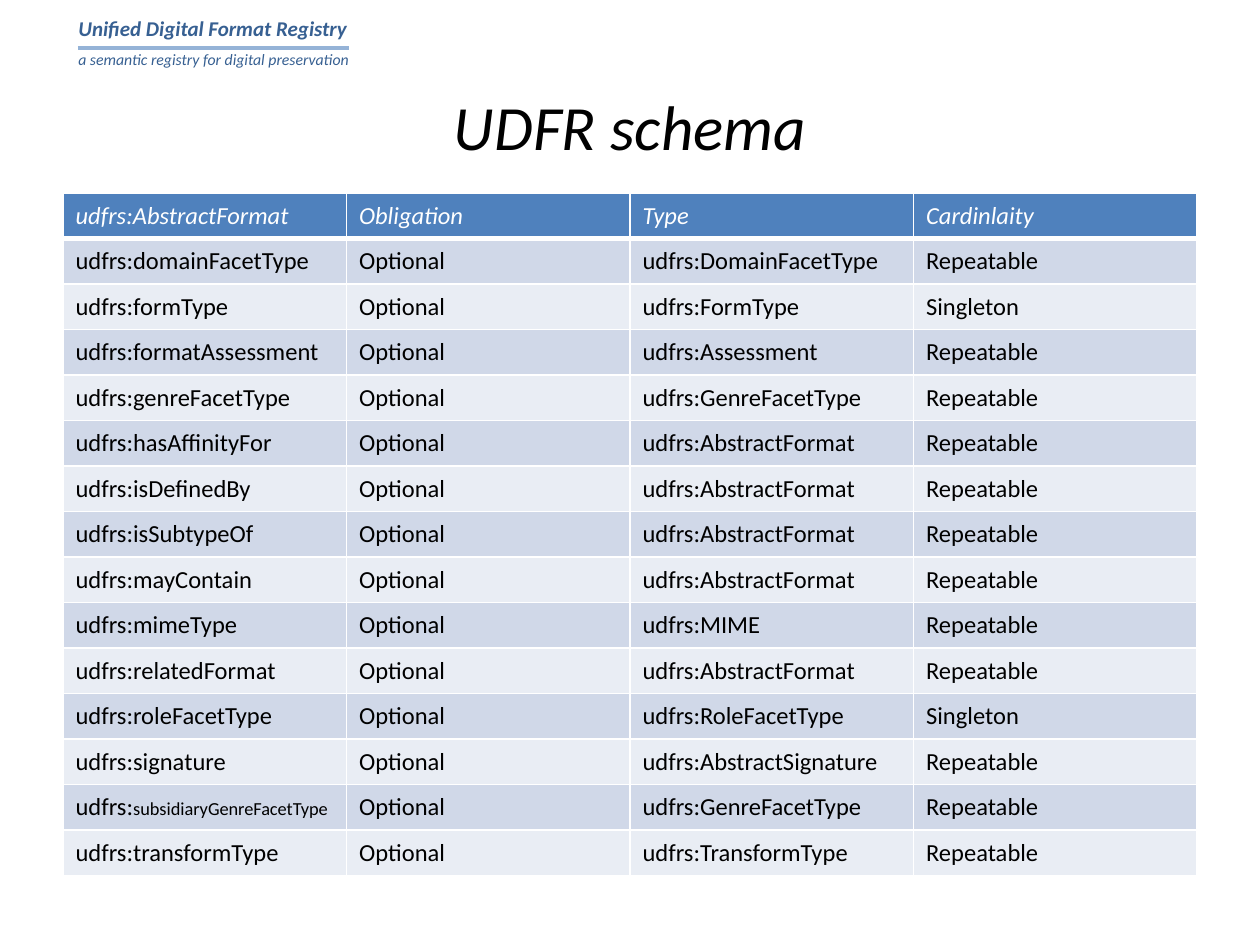
from dataclasses import dataclass

from lxml.etree import SubElement
from pptx import Presentation
from pptx.dml.color import RGBColor
from pptx.enum.shapes import MSO_CONNECTOR
from pptx.enum.text import MSO_ANCHOR, PP_ALIGN
from pptx.oxml import parse_xml
from pptx.oxml.ns import nsdecls, qn
from pptx.slide import Slide
from pptx.table import Table, _Cell
from pptx.text.text import _Paragraph
from pptx.util import Emu, Pt

PX_PER_INCH = 126
FONT = "Calibri"
COLORS = {
    "brand": "376092",
    "rule": "95B3D7",
    "text": "000000",
    "white": "FFFFFF",
    "header": "4F81BD",
    "odd": "D0D8E8",
    "even": "E9EDF4",
}


@dataclass(frozen=True)
class Box:
    left: int
    top: int
    width: int
    height: int


@dataclass(frozen=True)
class Property:
    name: str
    value_type: str
    cardinality: str = "Repeatable"
    name_size: float = 14
    obligation: str = "Optional"


PREFIX = "udfrs:"
HEADINGS = ("udfrs:AbstractFormat", "Obligation", "Type", "Cardinlaity")
PROPERTIES = (
    Property("domainFacetType", "DomainFacetType"),
    Property("formType", "FormType", "Singleton"),
    Property("formatAssessment", "Assessment"),
    Property("genreFacetType", "GenreFacetType"),
    Property("hasAffinityFor", "AbstractFormat"),
    Property("isDefinedBy", "AbstractFormat"),
    Property("isSubtypeOf", "AbstractFormat"),
    Property("mayContain", "AbstractFormat"),
    Property("mimeType", "MIME"),
    Property("relatedFormat", "AbstractFormat"),
    Property("roleFacetType", "RoleFacetType", "Singleton"),
    Property("signature", "AbstractSignature"),
    Property("subsidiaryGenreFacetType", "GenreFacetType", name_size=10.5),
    Property("transformType", "TransformType"),
)


def px(length: int) -> Emu:
    return Emu(round(length * 914400 / PX_PER_INCH))


def rgb(name: str) -> RGBColor:
    return RGBColor.from_string(COLORS[name])


def add_text(paragraph: _Paragraph, text: str, *, size: float = 14,
             color: str = "text", bold: bool = False, italic: bool = False,
             shadow: bool = False) -> None:
    run = paragraph.add_run()
    run.text = text
    font = run.font
    font.name, font.size = FONT, Pt(size)
    font.bold, font.italic = bold, italic
    font.color.rgb = rgb(color)
    if shadow:
        run._r.rPr.find(qn("a:solidFill")).addnext(parse_xml(
            f'<a:effectLst {nsdecls("a")}>'
            '<a:outerShdw blurRad="38100" dist="76200" dir="2700000">'
            '<a:srgbClr val="000000"><a:alpha val="40000"/></a:srgbClr>'
            '</a:outerShdw></a:effectLst>'))


def add_label(slide: Slide, box: Box, text: str, *, wrap: bool = False,
              align: PP_ALIGN = PP_ALIGN.LEFT,
              anchor: MSO_ANCHOR = MSO_ANCHOR.TOP, **text_format) -> None:
    frame = slide.shapes.add_textbox(
        px(box.left), px(box.top), px(box.width), px(box.height)).text_frame
    frame.word_wrap = wrap
    frame.vertical_anchor = anchor
    paragraph = frame.paragraphs[0]
    paragraph.alignment = align
    add_text(paragraph, text, **text_format)


def add_rule(slide: Slide, left: int, right: int, y: int) -> None:
    rule = slide.shapes.add_connector(
        MSO_CONNECTOR.STRAIGHT, px(left), px(y), px(right), px(y))
    rule.line.color.rgb = rgb("rule")
    rule.line.width = Pt(1.75)
    SubElement(rule._element.spPr, qn("a:effectLst"))


def style_cell(cell: _Cell, fill: str, top: int, bottom: int) -> _Paragraph:
    cell.vertical_anchor = MSO_ANCHOR.MIDDLE
    cell.fill.solid()
    cell.fill.fore_color.rgb = rgb(fill)
    borders = {"lnL": 1, "lnR": 1, "lnT": top, "lnB": bottom}
    for position, (side, points) in enumerate(borders.items()):
        cell._tc.tcPr.insert(position, parse_xml(
            f'<a:{side} {nsdecls("a")} w="{Pt(points)}"><a:solidFill>'
            f'<a:srgbClr val="{COLORS["white"]}"/></a:solidFill></a:{side}>'))
    return cell.text_frame.paragraphs[0]


def fill_header(table: Table) -> None:
    for column, heading in enumerate(HEADINGS):
        paragraph = style_cell(table.cell(0, column), "header", 1, 3)
        add_text(paragraph, heading, color="white", italic=True)


def fill_property(table: Table, row: int, item: Property) -> None:
    fill = "odd" if row % 2 else "even"
    top = 3 if row == 1 else 1
    name, obligation, value_type, cardinality = (
        style_cell(table.cell(row, column), fill, top, 1)
        for column in range(len(HEADINGS)))
    if item.name_size == 14:
        add_text(name, PREFIX + item.name)
    else:
        add_text(name, PREFIX)
        add_text(name, item.name, size=item.name_size)
    add_text(obligation, item.obligation)
    add_text(value_type, PREFIX + item.value_type)
    add_text(cardinality, item.cardinality)


def add_schema(slide: Slide, box: Box) -> None:
    table = slide.shapes.add_table(
        len(PROPERTIES) + 1, len(HEADINGS),
        px(box.left), px(box.top), px(box.width), px(box.height)).table
    fill_header(table)
    for row, item in enumerate(PROPERTIES, start=1):
        fill_property(table, row, item)


def main() -> None:
    presentation = Presentation()
    presentation.slide_width, presentation.slide_height = px(1260), px(945)
    slide = presentation.slides.add_slide(presentation.slide_layouts[6])

    add_label(slide, Box(66, 9, 302, 38), "Unified Digital Format Registry",
              size=12, color="brand", bold=True, italic=True, shadow=True)
    add_label(slide, Box(66, 44, 305, 32),
              "a semantic registry for digital preservation",
              size=9, color="brand", italic=True)
    add_rule(slide, 78, 349, 48)
    add_label(slide, Box(63, 73, 1134, 105), "UDFR schema", wrap=True,
              align=PP_ALIGN.CENTER, anchor=MSO_ANCHOR.MIDDLE,
              size=36, italic=True)
    add_schema(slide, Box(63, 193, 1134, 683))

    presentation.save("out.pptx")


if __name__ == "__main__":
    main()
